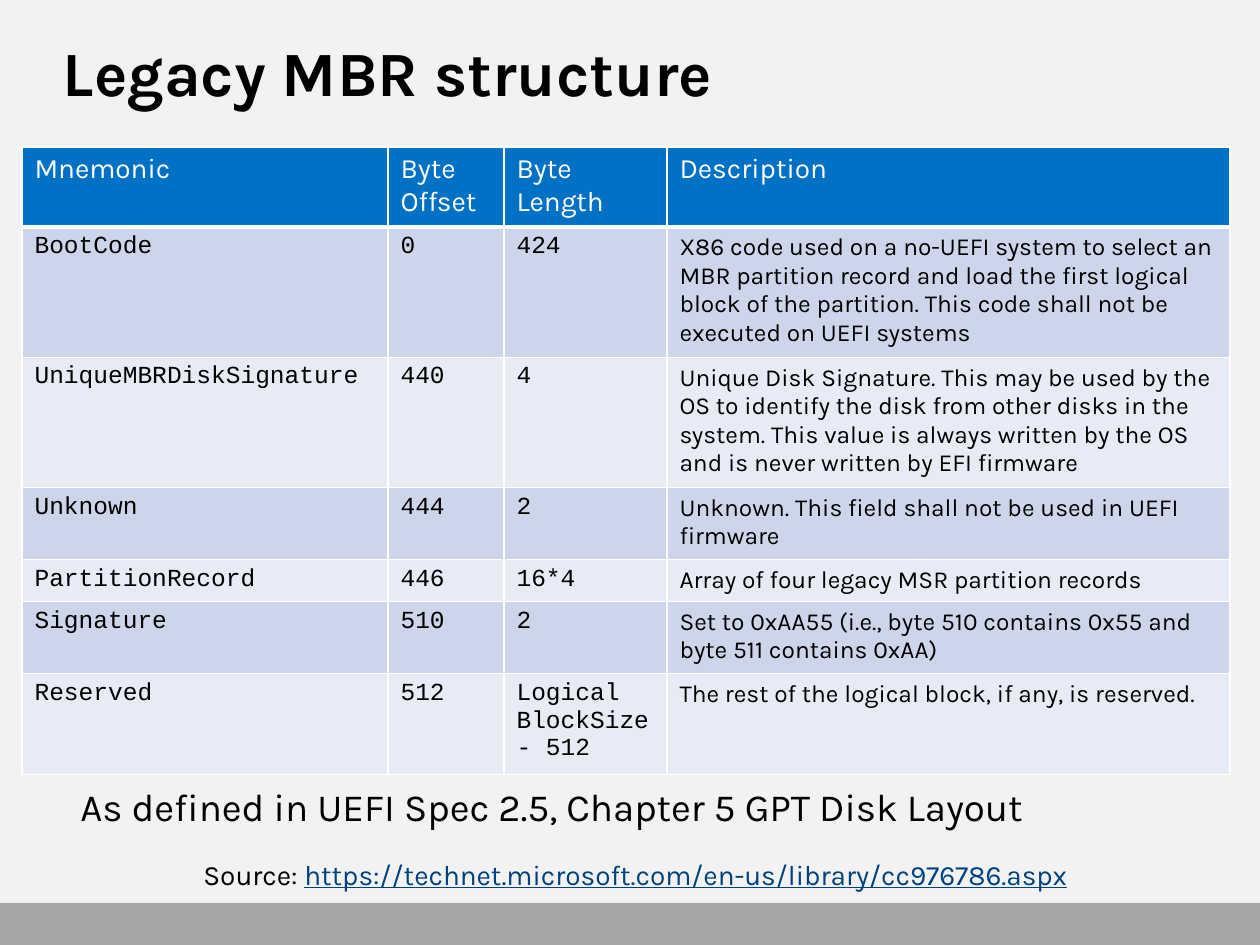
from lxml.etree import SubElement
from pptx import Presentation
from pptx.dml.color import RGBColor
from pptx.enum.shapes import MSO_SHAPE as SHAPE
from pptx.enum.text import MSO_ANCHOR as ANCHOR, PP_ALIGN as ALIGN
from pptx.oxml.ns import qn
from pptx.util import Pt

PX = 914400 / 126
SANS, MONO = "Karla", "Courier New"
COLORS = {
    "back": "F2F2F2", "bar": "A6A6A6", "text": "000000", "link": "004280",
    "head": "0071C5", "odd": "CCD5EA", "even": "E7EBF5", "white": "FFFFFF",
}
COL_WIDTHS = [366, 116, 163, 563]
ROW_HEIGHTS = [80, 130, 130, 72, 42, 72, 100]
ROWS = [
    ("Mnemonic", "Byte Offset", "Byte Length", "Description"),
    ("BootCode", "0", "424",
     "X86 code used on a no-UEFI system to select an MBR partition record and "
     "load the first logical block of the partition. This code shall not be "
     "executed on UEFI systems"),
    ("UniqueMBRDiskSignature", "440", "4",
     "Unique Disk Signature. This may be used by the OS to identify the disk "
     "from other disks in the system. This value is always written by the OS "
     "and is never written by EFI firmware"),
    ("Unknown", "444", "2",
     "Unknown. This field shall not be used in UEFI firmware"),
    ("PartitionRecord", "446", "16*4",
     "Array of four legacy MSR partition records"),
    ("Signature", "510", "2",
     "Set to 0xAA55 (i.e., byte 510 contains 0x55 and byte 511 contains 0xAA)"),
    ("Reserved", "512", "Logical BlockSize - 512",
     "The rest of the logical block, if any, is reserved."),
]


def emu(*lengths):
    """Turn px lengths into EMU."""
    return [round(n * PX) for n in lengths]


def rgb(name):
    """Look up a named colour."""
    return RGBColor.from_string(COLORS[name])


def add_run(p, text, size, font=SANS, color="text", bold=False, underline=False):
    """Append a formatted run to a paragraph."""
    r = p.add_run()
    r.text = text
    r.font.name, r.font.size = font, Pt(size)
    r.font.bold, r.font.underline = bold, underline
    r.font.color.rgb = rgb(color)


def add_text_box(s, box):
    """Add a wrapping, top-anchored text box and return its text frame."""
    tf = s.shapes.add_textbox(*emu(*box)).text_frame
    tf.word_wrap = True
    tf.vertical_anchor = ANCHOR.TOP
    return tf


def add_bar(s, box):
    """Draw the plain footer bar."""
    sp = s.shapes.add_shape(SHAPE.RECTANGLE, *emu(*box))
    sp.shadow.inherit = False
    sp.fill.solid()
    sp.fill.fore_color.rgb = rgb("bar")
    sp.line.fill.background()


def add_title(s, box):
    """Write the slide title without insets."""
    tf = add_text_box(s, box)
    tf.margin_left = tf.margin_top = tf.margin_right = tf.margin_bottom = 0
    add_run(tf.paragraphs[0], "Legacy MBR structure", 36, bold=True)


def add_note(s, box):
    """Write the line below the table."""
    p = add_text_box(s, box).paragraphs[0]
    add_run(p, "As defined in UEFI Spec 2.5, Chapter 5 GPT Disk Layout", 22)


def add_source(s, box):
    """Write the centred source line."""
    p = add_text_box(s, box).paragraphs[0]
    p.alignment = ALIGN.CENTER
    add_run(p, "Source: ", 16)
    add_run(p, "https://technet.microsoft.com/en-us/library/cc976786.aspx", 16,
            color="link", underline=True)


def style_cell(cell, fill, bottom):
    """Give a cell white borders and a solid fill."""
    tc_pr = cell._tc.get_or_add_tcPr()
    for side, width in (("L", 1), ("R", 1), ("T", 1), ("B", bottom)):
        ln = SubElement(tc_pr, qn(f"a:ln{side}"), w=str(Pt(width)))
        SubElement(SubElement(ln, qn("a:solidFill")), qn("a:srgbClr"),
                   val=COLORS["white"])
    cell.fill.solid()
    cell.fill.fore_color.rgb = rgb(fill)


def add_field_table(s, box):
    """Build the table of MBR fields."""
    table = s.shapes.add_table(len(ROWS), len(COL_WIDTHS), *emu(*box)).table
    for col, width in zip(table.columns, emu(*COL_WIDTHS)):
        col.width = width
    for row, height in zip(table.rows, emu(*ROW_HEIGHTS)):
        row.height = height
    for i, texts in enumerate(ROWS):
        fill = "head" if i == 0 else "odd" if i % 2 else "even"
        for j, text in enumerate(texts):
            cell = table.cell(i, j)
            style_cell(cell, fill, 1 if i else 3)
            p = cell.text_frame.paragraphs[0]
            if i == 0:
                add_run(p, text, 16, color="white")
            else:
                add_run(p, text, 14, SANS if j == 3 else MONO)


def main():
    """Build and save the slide."""
    prs = Presentation()
    prs.slide_width, prs.slide_height = emu(1260, 945)
    s = prs.slides.add_slide(prs.slide_layouts[6])
    s.background.fill.solid()
    s.background.fill.fore_color.rgb = rgb("back")
    add_bar(s, (0, 903, 1260, 42))
    add_title(s, (63, 34, 1134, 136))
    add_note(s, (68, 777, 1159, 81))
    add_source(s, (84, 851, 1103, 47))
    add_field_table(s, (22, 147, sum(COL_WIDTHS), sum(ROW_HEIGHTS)))
    prs.save("out.pptx")


if __name__ == "__main__":
    main()
